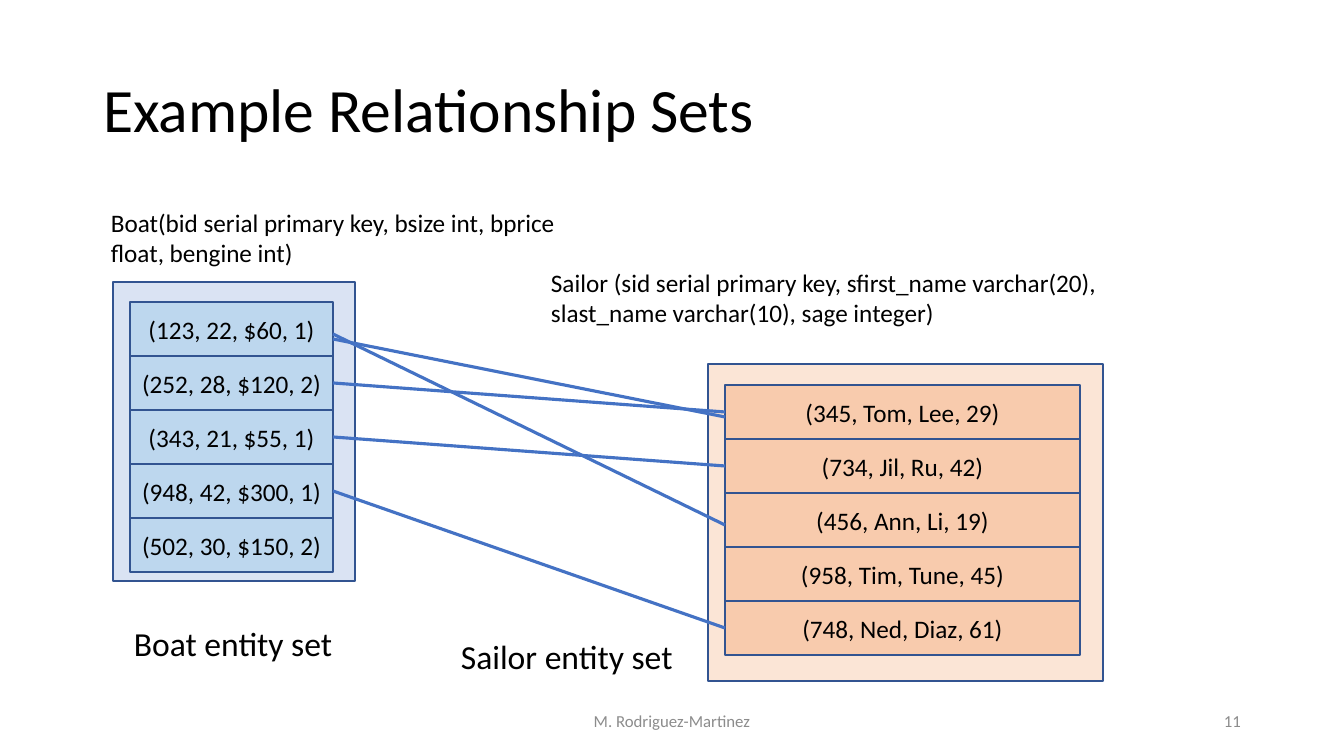
from dataclasses import dataclass

from pptx import Presentation
from pptx.dml.color import RGBColor
from pptx.enum.shapes import MSO_CONNECTOR, MSO_SHAPE
from pptx.enum.text import MSO_ANCHOR, MSO_AUTO_SIZE, PP_ALIGN
from pptx.oxml.ns import qn
from pptx.util import Emu, Pt
from lxml import etree

PX = 9071.43  # EMU per pixel at 100.8 pixels to the inch


@dataclass(frozen=True)
class Theme:
    font: str = "Calibri"
    text: str = "000000"
    muted: str = "8C8C8C"
    outline: str = "325491"
    link: str = "4472C4"
    boat_set: str = "DAE3F3"
    boat_row: str = "BDD7EE"
    sailor_set: str = "FBE5D6"
    sailor_row: str = "F8CBAD"
    title_size: int = 44
    label_size: int = 24
    body_size: int = 18
    footer_size: int = 12


theme = Theme()
prs = Presentation()
prs.slide_width, prs.slide_height = Emu(round(1344 * PX)), Emu(round(756 * PX))
slide = prs.slides.add_slide(prs.slide_layouts[5])


def write(shape, text, size, color=theme.text, align=PP_ALIGN.LEFT,
          anchor=MSO_ANCHOR.MIDDLE, wrap=True):
    frame = shape.text_frame
    frame.text = text
    frame.word_wrap = wrap
    frame.auto_size = MSO_AUTO_SIZE.NONE
    frame.vertical_anchor = anchor
    paragraph = frame.paragraphs[0]
    paragraph.alignment = align
    font = paragraph.runs[0].font
    font.name, font.size = theme.font, Pt(size)
    font.color.rgb = RGBColor.from_string(color)


def add_box(bounds, fill):
    box = slide.shapes.add_shape(MSO_SHAPE.RECTANGLE, *(Emu(round(v * PX)) for v in bounds))
    box.shadow.inherit = False
    box.fill.solid()
    box.fill.fore_color.rgb = RGBColor.from_string(fill)
    box.line.color.rgb = RGBColor.from_string(theme.outline)
    box.line.width = Pt(1)
    return box


# Title
title = slide.shapes.title
title.left, title.top, title.width, title.height = (
    Emu(round(v * PX)) for v in (93, 40, 1159, 146))
write(title, "Example Relationship Sets", theme.title_size)
title.text_frame.paragraphs[0].line_spacing = 0.9

# Entity sets: frame, first row, colours and tuples
ROW_HEIGHT = 54
entity_sets = {
    "boat": ((113, 282, 242, 299), (130, 302, 203), theme.boat_set, theme.boat_row,
             ["(123, 22, $60, 1)", "(252, 28, $120, 2)", "(343, 21, $55, 1)",
              "(948, 42, $300, 1)", "(502, 30, $150, 2)"]),
    "sailor": ((708, 364, 395, 317), (725, 385, 355), theme.sailor_set, theme.sailor_row,
               ["(345, Tom, Lee, 29)", "(734, Jil, Ru, 42)", "(456, Ann, Li, 19)",
                "(958, Tim, Tune, 45)", "(748, Ned, Diaz, 61)"]),
}
rows = {}
for name, (frame, (left, top, width), set_fill, row_fill, tuples) in entity_sets.items():
    add_box(frame, set_fill)
    rows[name] = []
    for i, values in enumerate(tuples):
        row = add_box((left, top + i * ROW_HEIGHT, width, ROW_HEIGHT), row_fill)
        write(row, values, theme.body_size, align=PP_ALIGN.CENTER)
        rows[name].append(row)

# Relationships: boat row, sailor row, vertical shift of each end
relationships = [(0, 0, 10, 5), (0, 2, 5, 5), (1, 0, 0, 0), (2, 1, 0, 0), (3, 4, 0, 0)]
for boat_index, sailor_index, start_shift, end_shift in relationships:
    boat, sailor = rows["boat"][boat_index], rows["sailor"][sailor_index]
    link = slide.shapes.add_connector(
        MSO_CONNECTOR.STRAIGHT,
        boat.left + boat.width, boat.top + boat.height // 2 + round(start_shift * PX),
        sailor.left, sailor.top + sailor.height // 2 + round(end_shift * PX))
    link.line.color.rgb = RGBColor.from_string(theme.link)
    link.line.width = Pt(2.25)
    etree.SubElement(link._element.spPr, qn("a:effectLst"))

# Schemas, set labels and footer
TOP, MIDDLE = MSO_ANCHOR.TOP, MSO_ANCHOR.MIDDLE
LEFT, CENTER, RIGHT = PP_ALIGN.LEFT, PP_ALIGN.CENTER, PP_ALIGN.RIGHT
texts = [
    ((101, 202, 521, 72), "Boat(bid serial primary key, bsize int, bprice float, bengine int)",
     theme.body_size, theme.text, LEFT, TOP, True),
    ((541, 262, 572, 72),
     "Sailor (sid serial primary key, sfirst_name varchar(20), "
     "slast_name varchar(10), sage integer)",
     theme.body_size, theme.text, LEFT, TOP, True),
    ((124, 618, 221, 50), "Boat entity set", theme.label_size, theme.text, LEFT, TOP, False),
    ((451, 631, 234, 50), "Sailor entity set", theme.label_size, theme.text, LEFT, TOP, False),
    ((445, 701, 454, 40), "M. Rodriguez-Martinez",
     theme.footer_size, theme.muted, CENTER, MIDDLE, True),
    ((949, 701, 302, 40), "11", theme.footer_size, theme.muted, RIGHT, MIDDLE, True),
]
for bounds, *content in texts:
    write(slide.shapes.add_textbox(*(Emu(round(v * PX)) for v in bounds)), *content)

prs.save("out.pptx")
